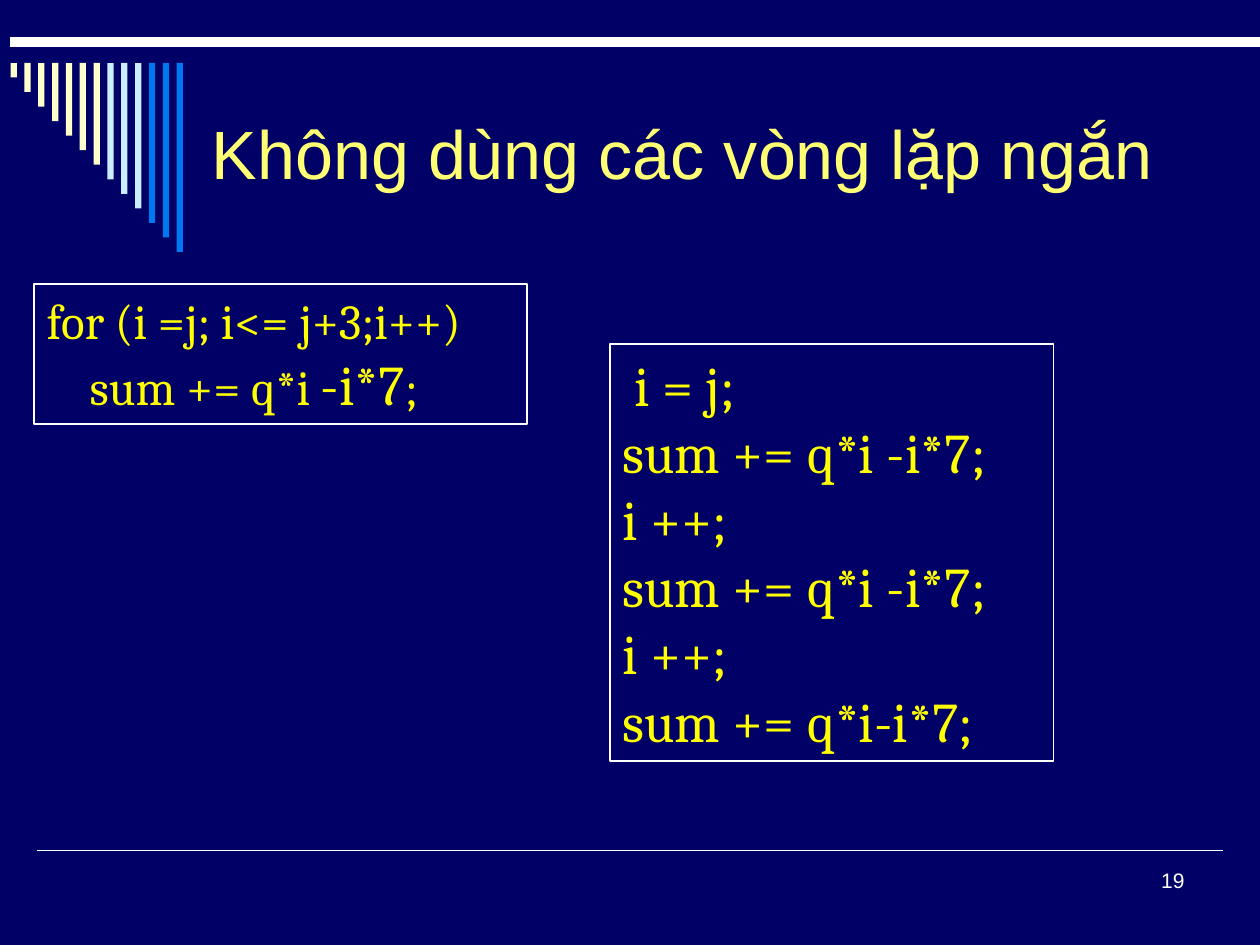
from dataclasses import dataclass

from lxml.etree import SubElement
from pptx import Presentation
from pptx.dml.color import RGBColor as RGB
from pptx.enum.shapes import MSO_CONNECTOR as Conn, MSO_SHAPE as Shape
from pptx.enum.text import MSO_ANCHOR as Anchor, MSO_AUTO_SIZE as Fit, PP_ALIGN as Align
from pptx.oxml.ns import qn
from pptx.util import Pt


@dataclass(frozen=True)
class Theme:
    navy: str = "000066"
    white: str = "FFFFFF"
    title: str = "FFFF73"
    code: str = "FFFF00"
    cream: str = "FFFFCC"
    pale: str = "CCECFF"
    blue: str = "0078F0"
    sans: str = "Arial"
    serif: str = "Cambria"
    head: int = 39
    large: int = 32
    body: int = 28
    small: int = 12


T = Theme()


def write(frame, rows, font=T.sans, size=T.body, color=T.white,
          align=Align.LEFT, anchor=Anchor.TOP, wrap=True, fit=Fit.NONE):
    """Each row is a list of runs: a string, or a (string, size) pair."""
    frame.word_wrap = wrap
    frame.auto_size = fit
    frame.vertical_anchor = anchor
    for n, row in enumerate(rows):
        para = frame.add_paragraph() if n else frame.paragraphs[0]
        para.alignment = align
        for part in row:
            text, pts = part if isinstance(part, tuple) else (part, size)
            run = para.add_run()
            run.text = text
            run.font.name = font
            run.font.size = Pt(pts)
            run.font.color.rgb = RGB.from_string(color)


def rect(slide, box, fill=None, line=None):
    shape = slide.shapes.add_shape(Shape.RECTANGLE, *map(Pt, box))
    shape.shadow.inherit = False
    if fill:
        shape.fill.solid()
        shape.fill.fore_color.rgb = RGB.from_string(fill)
    else:
        shape.fill.background()
    if line:
        shape.line.color.rgb = RGB.from_string(line)
        shape.line.width = Pt(1)
    else:
        shape.line.fill.background()
    return shape


def rule(slide, left, right, y, width):
    line = slide.shapes.add_connector(Conn.STRAIGHT, Pt(left), Pt(y), Pt(right), Pt(y))
    line.line.color.rgb = RGB.from_string(T.white)
    line.line.width = Pt(width)
    SubElement(line._element.spPr, qn("a:effectLst"))


def bars(slide, box):
    """Hanging bars that grow by equal steps from left to right."""
    left, top, width, height = box
    tints = [T.cream] * 7 + [T.pale] * 3 + [T.blue] * 3
    thick = 3.6
    step = (width - thick) / (len(tints) - 1)
    for n, tint in enumerate(tints):
        rect(slide, (left + n * step, top, thick, height * (n + 1) / len(tints)), fill=tint)


def label(slide, box, text, **form):
    frame = slide.shapes.add_textbox(*map(Pt, box)).text_frame
    write(frame, [[text]], **form)


def code(slide, box, rows, size):
    frame = rect(slide, box, line=T.white).text_frame
    write(frame, rows, font=T.serif, size=size, color=T.code,
          wrap=False, fit=Fit.SHAPE_TO_FIT_TEXT)


def main():
    deck = Presentation()
    deck.slide_width, deck.slide_height = Pt(720), Pt(540)
    slide = deck.slides.add_slide(deck.slide_layouts[6])
    slide.background.fill.solid()
    slide.background.fill.fore_color.rgb = RGB.from_string(T.navy)

    # Frame: rules, bars and page number
    rule(slide, 21, 699, 486, 1)
    rule(slide, 6, 720, 24, 6)
    bars(slide, (6, 36, 98.5, 108))
    label(slide, (516, 492, 168, 36), "19", size=T.small, align=Align.RIGHT)

    # Title
    label(slide, (114, 36, 606, 102), "Không dùng các vòng lặp ngắn",
          size=T.head, color=T.title, anchor=Anchor.MIDDLE)

    # Short loop
    code(slide, (19.5, 162.5, 281.5, 80),
         [["for (i =j; i<= j+3;i++)"],
          ["    sum += q*i ", ("-i*7", T.large), ";"]], T.body)

    # Unrolled loop
    add, step = ["sum += q*i -i*7;"], ["i ++;"]
    code(slide, (348.5, 196.5, 253.5, 238.5),
         [[" i = j;"], add, step, add, step, ["sum += q*i-i*7;"]], T.large)

    deck.save("out.pptx")


if __name__ == "__main__":
    main()
